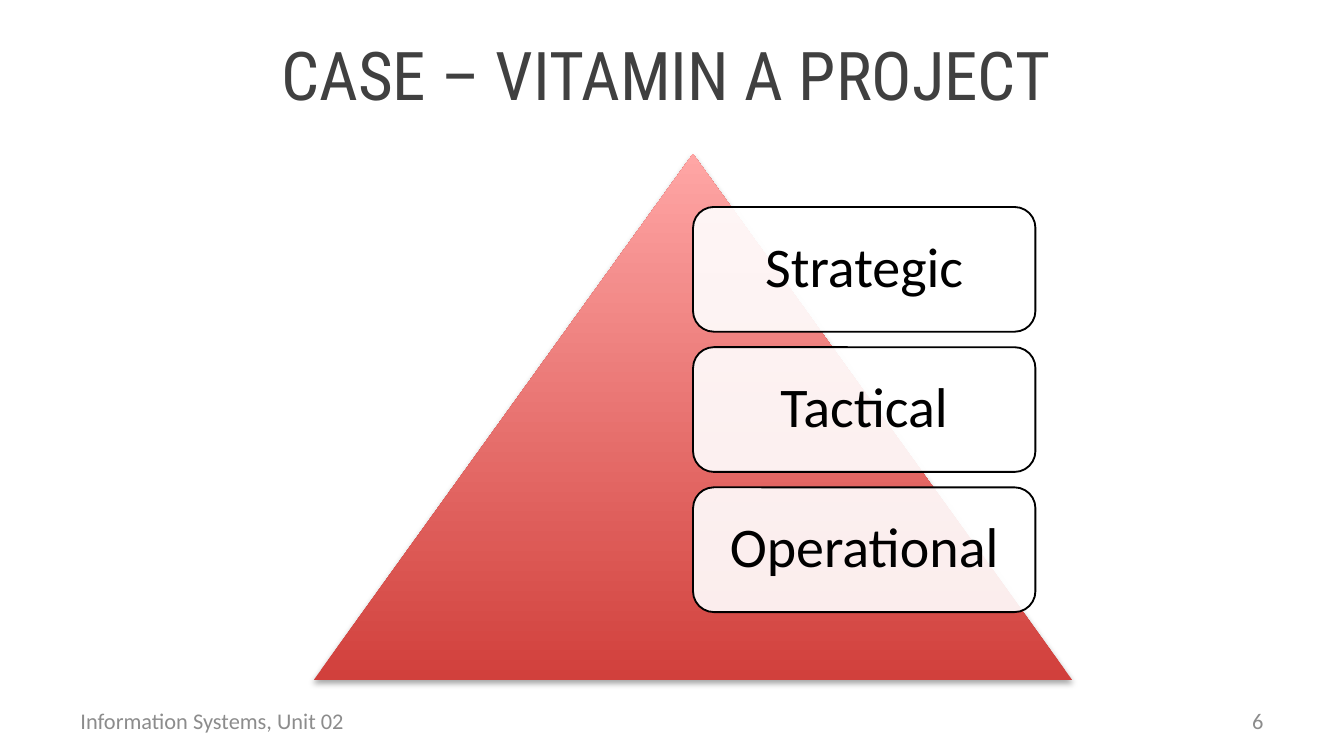
from lxml import etree
from pptx import Presentation
from pptx.dml.color import RGBColor
from pptx.enum.shapes import MSO_SHAPE
from pptx.enum.text import MSO_ANCHOR, PP_ALIGN
from pptx.oxml import parse_xml
from pptx.oxml.ns import nsdecls, qn
from pptx.util import Pt

TRIANGLE, ROUNDED = MSO_SHAPE.ISOSCELES_TRIANGLE, MSO_SHAPE.ROUNDED_RECTANGLE
MIDDLE = MSO_ANCHOR.MIDDLE
LEFT, CENTER, RIGHT = PP_ALIGN.LEFT, PP_ALIGN.CENTER, PP_ALIGN.RIGHT

WHITE = RGBColor(0xFF, 0xFF, 0xFF)
BLACK = RGBColor(0x00, 0x00, 0x00)
DARK_GRAY = RGBColor(0x40, 0x40, 0x40)
FOOTER_GRAY = RGBColor(0x8C, 0x8C, 0x8C)
RED = RGBColor(0xD1, 0x40, 0x3C)
PINK = RGBColor(0xFF, 0xA6, 0xA5)


def write(shape, text, size, color, align=CENTER, font="Calibri"):
    frame = shape.text_frame
    frame.word_wrap = True
    frame.vertical_anchor = MIDDLE
    paragraph = frame.paragraphs[0]
    paragraph.text = text
    paragraph.alignment = align
    paragraph.font.size = Pt(size)
    paragraph.font.name = font
    paragraph.font.color.rgb = color


prs = Presentation()
prs.slide_width, prs.slide_height = Pt(720), Pt(405)
slide = prs.slides.add_slide(prs.slide_layouts[5])
shapes = slide.shapes

# Title
title = shapes.title
title.left, title.top, title.width, title.height = Pt(58.3), Pt(13), Pt(597), Pt(52.5)
write(title, "CASE – VITAMIN A PROJECT", 36, DARK_GRAY, font="Roboto Condensed")

# Pyramid, red at the base and pink at the tip, with a soft shadow below
pyramid = shapes.add_shape(TRIANGLE, Pt(168), Pt(82.5), Pt(406.5), Pt(282))
pyramid.line.fill.background()
pyramid.fill.gradient()
pyramid.fill.gradient_angle = 90
for stop, color, position in zip(pyramid.fill.gradient_stops, (RED, PINK), (0, 1)):
    stop.color.rgb = color
    stop.position = position
pyramid._element.spPr.append(parse_xml(
    f'<a:effectLst {nsdecls("a")}>'
    f'<a:outerShdw blurRad="{Pt(3.1)}" dist="{Pt(1.8)}" dir="5400000" rotWithShape="0">'
    '<a:srgbClr val="000000"><a:alpha val="35000"/></a:srgbClr>'
    '</a:outerShdw></a:effectLst>'))

# Management levels, stacked on the right half of the pyramid
for row, level_name in enumerate(("Strategic", "Tactical", "Operational")):
    level = shapes.add_shape(ROUNDED, Pt(371.3), Pt(110.9 + 75.1 * row), Pt(183.4), Pt(66.8))
    level.shadow.inherit = False
    level.fill.solid()
    level.fill.fore_color.rgb = WHITE
    fill_color = level._element.spPr.find(qn("a:solidFill"))[0]
    etree.SubElement(fill_color, qn("a:alpha"), val="90000")
    level.line.color.rgb = BLACK
    level.line.width = Pt(1)
    write(level, level_name, 30, BLACK)
    level.text_frame.paragraphs[0].line_spacing = 0.9

# Footer and slide number
for text, left, align in (("Information Systems, Unit 02", 36, LEFT), ("6", 516, RIGHT)):
    footer = shapes.add_textbox(Pt(left), Pt(375.3), Pt(168), Pt(21.6))
    write(footer, text, 12, FOOTER_GRAY, align)

prs.save("out.pptx")
